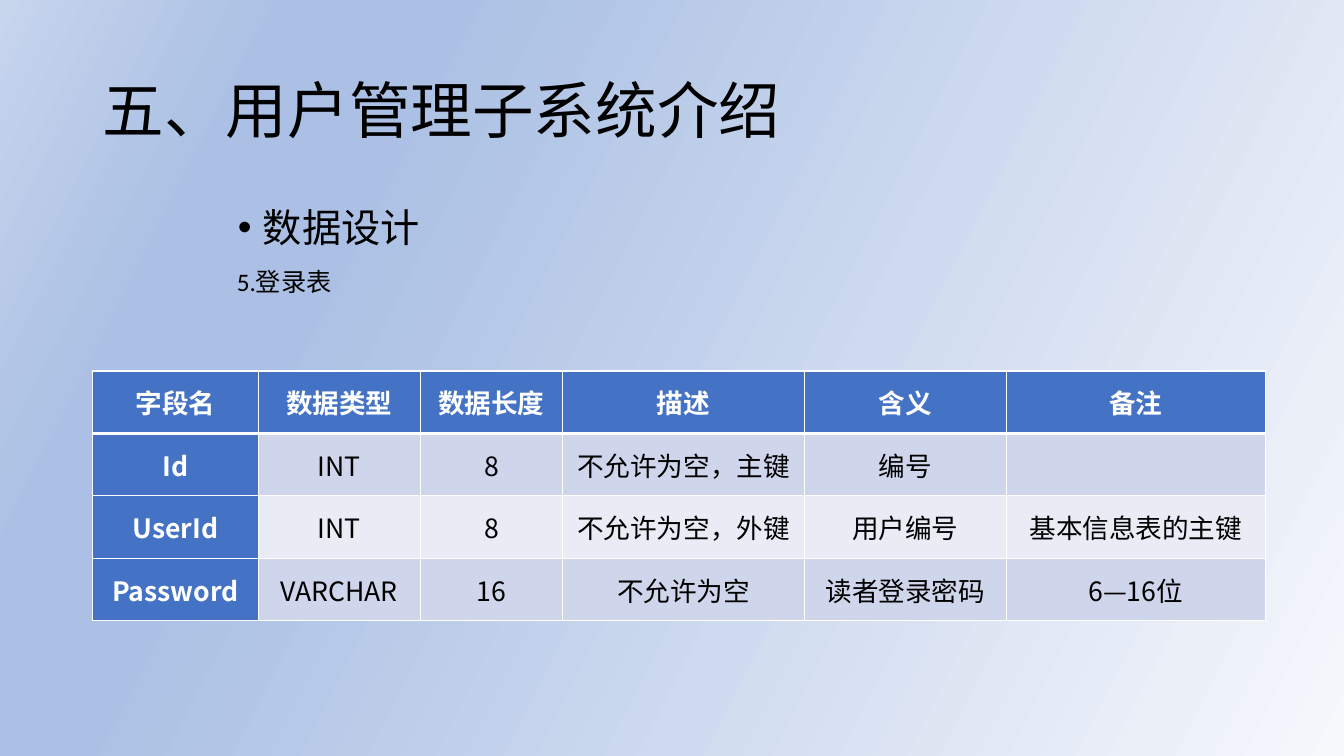
from lxml import etree
from pptx import Presentation
from pptx.dml.color import RGBColor
from pptx.enum.text import MSO_ANCHOR, PP_ALIGN
from pptx.oxml import parse_xml
from pptx.oxml.ns import nsdecls, qn
from pptx.util import Inches, Pt

MID, TOP = MSO_ANCHOR.MIDDLE, MSO_ANCHOR.TOP
CENTER = PP_ALIGN.CENTER

# Content
TITLE = "五、用户管理子系统介绍"
TOPIC = "数据设计"
LABEL = ("5.", "登录表")
ROWS = [
    ("字段名", "数据类型", "数据长度", "描述", "含义", "备注"),
    ("Id", "INT", "8", "不允许为空，主键", "编号", ""),
    ("UserId", "INT", "8", "不允许为空，外键", "用户编号", "基本信息表的主键"),
    ("Password", "VARCHAR", "16", "不允许为空", "读者登录密码", "6—16位"),
]
WIDTHS = (1.64, 1.61, 1.41, 2.4, 2, 2.57)
ROW_H = 0.62


class Theme:
    han, latin = "Noto Sans CJK SC", "Calibri"
    black, white, blue = "000000", "FFFFFF", "4472C4"
    bands = ("CFD5EA", "E9EBF5")
    title, topic, label, cell = 44, 28, 18, 19
    back = ((0, "F6F8FC"), (74, "ABC0E4"), (83, "ABC0E4"), (100, "C7D5ED"))
    angle = 207


def style(run, size, color=Theme.black, font=Theme.han, bold=False):
    run.font.size = Pt(size)
    run.font.bold = bold
    run.font.color.rgb = RGBColor.from_string(color)
    run.font.name = font
    east = etree.SubElement(run.font._element, qn("a:ea"))
    east.set("typeface", Theme.han)


def add_text(slide, place, parts, size, anchor=TOP):
    box = slide.shapes.add_textbox(*map(Inches, place))
    frame = box.text_frame
    frame.word_wrap = True
    frame.vertical_anchor = anchor
    para = frame.paragraphs[0]
    for text, font in parts:
        run = para.add_run()
        run.text = text
        style(run, size, font=font)
    return para


def indent(para, left, first):
    props = para._p.get_or_add_pPr()
    props.set("marL", str(Inches(left)))
    props.set("indent", str(Inches(first)))
    return props


def add_edge(cell, side, width):
    cell._tc.get_or_add_tcPr().append(parse_xml(
        f'<a:ln{side} {nsdecls("a")} w="{Pt(width)}"><a:solidFill>'
        f'<a:srgbClr val="{Theme.white}"/></a:solidFill></a:ln{side}>'))


deck = Presentation()
deck.slide_width, deck.slide_height = Inches(13.33), Inches(7.5)
slide = deck.slides.add_slide(deck.slide_layouts[6])

# Background gradient
fill = slide.background.fill
fill.gradient()
grad = slide.background._cSld.find(".//" + qn("a:gradFill"))
stops = "".join(f'<a:gs pos="{pos * 1000}"><a:srgbClr val="{color}"/></a:gs>'
                for pos, color in Theme.back)
grad.getparent().replace(grad, parse_xml(
    f'<a:gradFill {nsdecls("a")} rotWithShape="1"><a:gsLst>{stops}</a:gsLst>'
    f'<a:lin ang="{Theme.angle * 60000}" scaled="0"/></a:gradFill>'))

# Headings
title = add_text(slide, (0.92, 0.4, 11.5, 1.45), [(TITLE, Theme.han)], Theme.title, MID)
title.line_spacing = 0.9
topic = add_text(slide, (2.26, 2.02, 5.52, 4.76), [(TOPIC, Theme.han)], Theme.topic)
props = indent(topic, 0.25, -0.25)
etree.SubElement(props, qn("a:buFont")).set("typeface", "Arial")
etree.SubElement(props, qn("a:buChar")).set("char", "•")
topic.line_spacing = 0.9
label = add_text(slide, (1.96, 2.59, 2.52, 0.41),
                 zip(LABEL, (Theme.latin, Theme.han)), Theme.label)
indent(label, 0, 0.29)

# Field table
table = slide.shapes.add_table(
    len(ROWS), len(WIDTHS), Inches(0.92), Inches(3.68),
    Inches(sum(WIDTHS)), Inches(ROW_H * len(ROWS))).table
table.first_col = True
for col, width in zip(table.columns, WIDTHS):
    col.width = Inches(width)
for r, texts in enumerate(ROWS):
    table.rows[r].height = Inches(ROW_H)
    for c, text in enumerate(texts):
        cell = table.cell(r, c)
        head = r == 0 or c == 0
        cell.vertical_anchor = MID
        cell.margin_left = cell.margin_right = Inches(0.13)
        cell.margin_top = cell.margin_bottom = 0
        edges = {"L": 1, "R": 1, "T": 3 if r == 1 else 1, "B": 3 if r == 0 else 1}
        for side, width in edges.items():
            add_edge(cell, side, width)
        cell.fill.solid()
        color = Theme.blue if head else Theme.bands[(r - 1) % 2]
        cell.fill.fore_color.rgb = RGBColor.from_string(color)
        cell.text_frame.text = text
        para = cell.text_frame.paragraphs[0]
        para.alignment = CENTER
        for run in para.runs:
            style(run, Theme.cell, Theme.white if head else Theme.black, bold=head)

deck.save("out.pptx")
